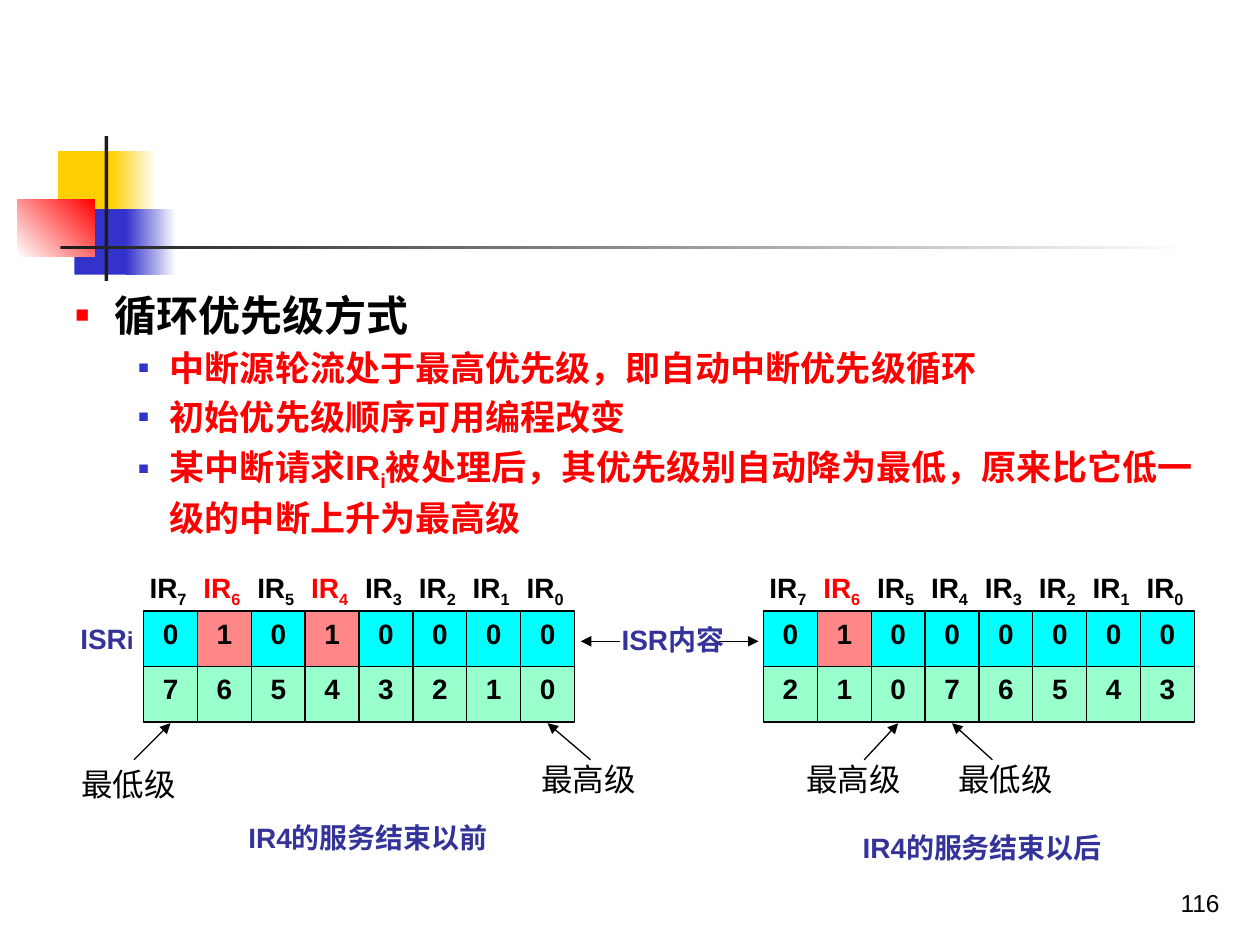
from collections import namedtuple
from dataclasses import dataclass

from lxml import etree
from pptx import Presentation
from pptx.dml.color import RGBColor
from pptx.enum import shapes, text
from pptx.oxml import ns
from pptx.util import Inches, Pt

Box = namedtuple("Box", "left top width height")
Run = namedtuple("Run", "words sub size", defaults=(False, None))
Pointer = namedtuple("Pointer", "cell tail_shift words left top width")


@dataclass(frozen=True)
class Theme:
    font: str = "Arial"
    black: str = "000000"
    white: str = "FFFFFF"
    red: str = "FF0000"
    blue: str = "3333CC"
    navy: str = "333399"
    yellow: str = "FFCF01"
    ink: str = "1C1C1C"
    clear_bit: str = "00FFFF"
    set_bit: str = "FF8787"
    priority: str = "99FFCC"
    heading: int = 24
    point: int = 20
    level: int = 18
    cell: int = 16
    small: int = 14
    line: float = 0.75


THEME = Theme()


def emu(box):
    return [Inches(length) for length in box]


def inside(box, left, top, width, height):
    return Box(box.left + left, box.top + top, width, height)


def add_runs(paragraph, runs, size, color, bold):
    for item in runs:
        run = paragraph.add_run()
        run.text = item.words
        font = run.font
        font.name, font.size, font.bold = THEME.font, Pt(item.size or size), bold
        font.color.rgb = RGBColor.from_string(color)
        if item.sub:
            font._element.set("baseline", "-25000")


def write(shape, runs, size, color=THEME.black, bold=True, inset_top=0.0,
          align=text.PP_ALIGN.CENTER, anchor=text.MSO_ANCHOR.TOP):
    frame = shape.text_frame
    frame.word_wrap = True
    frame.vertical_anchor = anchor
    frame.margin_left = frame.margin_right = frame.margin_bottom = 0
    frame.margin_top = Inches(inset_top)
    paragraph = frame.paragraphs[0]
    paragraph.alignment = align
    add_runs(paragraph, runs, size, color, bold)


def add_label(slide, box, runs, size, **style):
    write(slide.shapes.add_textbox(*emu(box)), runs, size, **style)


def add_rect(slide, box, color, fade_to=None, angle=0):
    rect = slide.shapes.add_shape(shapes.MSO_SHAPE.RECTANGLE, *emu(box))
    rect.shadow.inherit = False
    rect.line.fill.background()
    if fade_to is None:
        rect.fill.solid()
        rect.fill.fore_color.rgb = RGBColor.from_string(color)
    else:
        rect.fill.gradient()
        rect.fill.gradient_angle = angle
        for stop, shade in zip(rect.fill.gradient_stops, (color, fade_to)):
            stop.color.rgb = RGBColor.from_string(shade)
    return rect


def add_cell(slide, box, digit, color):
    cell = add_rect(slide, box, color)
    cell.line.color.rgb = RGBColor.from_string(THEME.black)
    cell.line.width = Pt(THEME.line)
    write(cell, [Run(digit)], THEME.cell, inset_top=0.04)


def add_arrow(slide, start, end):
    arrow = slide.shapes.add_connector(
        shapes.MSO_CONNECTOR.STRAIGHT, *emu(start), *emu(end))
    arrow.line.color.rgb = RGBColor.from_string(THEME.black)
    arrow.line.width = Pt(THEME.line)
    etree.SubElement(arrow.line._get_or_add_ln(), ns.qn("a:tailEnd"), type="triangle")
    etree.SubElement(arrow._element.spPr, ns.qn("a:effectLst"))


def add_ornament(slide, box):
    """Overlapping colour blocks crossed by a vertical bar and a fading rule."""
    t = THEME
    for place, *paint in [
        ((0.32, 0.12, 0.48, 0.52), t.yellow),
        ((0.74, 0.12, 0.36, 0.52), t.yellow, t.white),
        ((0.45, 0.58, 0.46, 0.52), t.blue),
        ((0.86, 0.58, 0.4, 0.52), t.blue, t.white),
        ((0, 0.5, 0.61, 0.46), t.white, t.red, 45),
        ((0.69, 0, 0.03, box.height), t.ink),
        ((0.34, 0.87, 9, 0.03), t.ink, t.white),
    ]:
        add_rect(slide, inside(box, *place), *paint)


def add_bullet(paragraph, color, percent, left, hang):
    props = paragraph._p.get_or_add_pPr()
    props.set("marL", str(Inches(left)))
    props.set("indent", str(-Inches(hang)))
    bullet_color = etree.SubElement(props, ns.qn("a:buClr"))
    etree.SubElement(bullet_color, ns.qn("a:srgbClr"), val=color)
    etree.SubElement(props, ns.qn("a:buSzPct"), val=str(percent * 1000))
    etree.SubElement(props, ns.qn("a:buFont"), typeface=THEME.font)
    etree.SubElement(props, ns.qn("a:buChar"), char="■")


def add_outline(slide, box, heading, points):
    frame = slide.shapes.add_textbox(*emu(box)).text_frame
    frame.word_wrap = True
    for index, runs in enumerate([heading] + points):
        paragraph = frame.add_paragraph() if index else frame.paragraphs[0]
        paragraph.line_spacing = 1.1
        if index:
            paragraph.space_before = Pt(1.5)
            add_bullet(paragraph, THEME.blue, 50, 1.25, 0.25)
            add_runs(paragraph, runs, THEME.point, THEME.red, True)
        else:
            add_bullet(paragraph, THEME.red, 55, 0.81, 0.31)
            add_runs(paragraph, runs, THEME.heading, THEME.black, True)


def add_register(slide, box, bits, priorities, active, pointers):
    """Request names over a row of ISR bits and a row of priority levels."""
    pitch, row = box.width / len(bits), box.height / 2
    for column, (bit, priority) in enumerate(zip(bits, priorities)):
        request = len(bits) - 1 - column
        left = column * pitch
        add_label(slide, inside(box, left - 0.02, -0.36, pitch, row),
                  [Run("IR"), Run(str(request), sub=True)], THEME.cell, inset_top=0.04,
                  color=THEME.red if request in active else THEME.black)
        add_cell(slide, inside(box, left, 0, pitch, row), bit,
                 THEME.set_bit if bit == "1" else THEME.clear_bit)
        add_cell(slide, inside(box, left, row, pitch, row), priority, THEME.priority)
    for pointer in pointers:
        tip = box.left + (pointer.cell + 0.5) * pitch
        add_arrow(slide, (tip + pointer.tail_shift, box.top + 1.18),
                  (tip, box.top + box.height + 0.01))
        add_label(slide, inside(box, pointer.left, pointer.top, pointer.width, 0.3),
                  [Run(pointer.words)], THEME.level, bold=False)


def add_isr_link(slide, box):
    """The ISR caption with an arrow out to the register on each side."""
    add_label(slide, inside(box, 0.27, 0, 0.92, box.height),
              [Run("ISR内容")], THEME.cell, color=THEME.navy)
    middle, right = box.top + 0.15, box.left + box.width
    add_arrow(slide, (box.left + 0.31, middle), (box.left, middle))
    add_arrow(slide, (right - 0.31, middle), (right, middle))


def main():
    deck = Presentation()
    deck.slide_width, deck.slide_height = Inches(10), Inches(7.5)
    slide = deck.slides.add_slide(deck.slide_layouts[6])

    add_ornament(slide, Box(0.14, 1.08, 9.34, 1.15))
    add_outline(slide, Box(0, 2.21, 9.79, 4.5), [Run("循环优先级方式")], [
        [Run("中断源轮流处于最高优先级，即自动中断优先级循环")],
        [Run("初始优先级顺序可用编程改变")],
        [Run("某中断请求IR"), Run("i", sub=True),
         Run("被处理后，其优先级别自动降为最低，原来比它低一级的中断上升为最高级")],
    ])

    add_register(slide, Box(1.14, 4.85, 3.42, 0.88), "01010000", "76543210", {6, 4}, [
        Pointer(0, -0.29, "最低级", -0.55, 1.22, 0.86),
        Pointer(7, 0.34, "最高级", 3.07, 1.18, 0.92),
    ])
    add_register(slide, Box(6.06, 4.85, 3.42, 0.88), "01000000", "21076543", {6}, [
        Pointer(2, -0.27, "最高级", 0.32, 1.18, 0.79),
        Pointer(3, 0.32, "最低级", 1.5, 1.18, 0.84),
    ])
    add_isr_link(slide, Box(4.61, 4.94, 1.41, 0.27))

    for box, runs in [
        (Box(0.59, 4.93, 0.52, 0.27), [Run("ISR"), Run("i", size=THEME.small)]),
        (Box(1.3, 6.51, 3.24, 0.27), [Run("IR4的服务结束以前")]),
        (Box(6.34, 6.59, 2.91, 0.27), [Run("IR4的服务结束以后")]),
    ]:
        add_label(slide, box, runs, THEME.cell, color=THEME.navy)
    add_label(slide, Box(7.7, 6.83, 1.98, 0.45), [Run("116")], THEME.small, bold=False,
              align=text.PP_ALIGN.RIGHT, anchor=text.MSO_ANCHOR.BOTTOM)
    deck.save("out.pptx")


if __name__ == "__main__":
    main()
